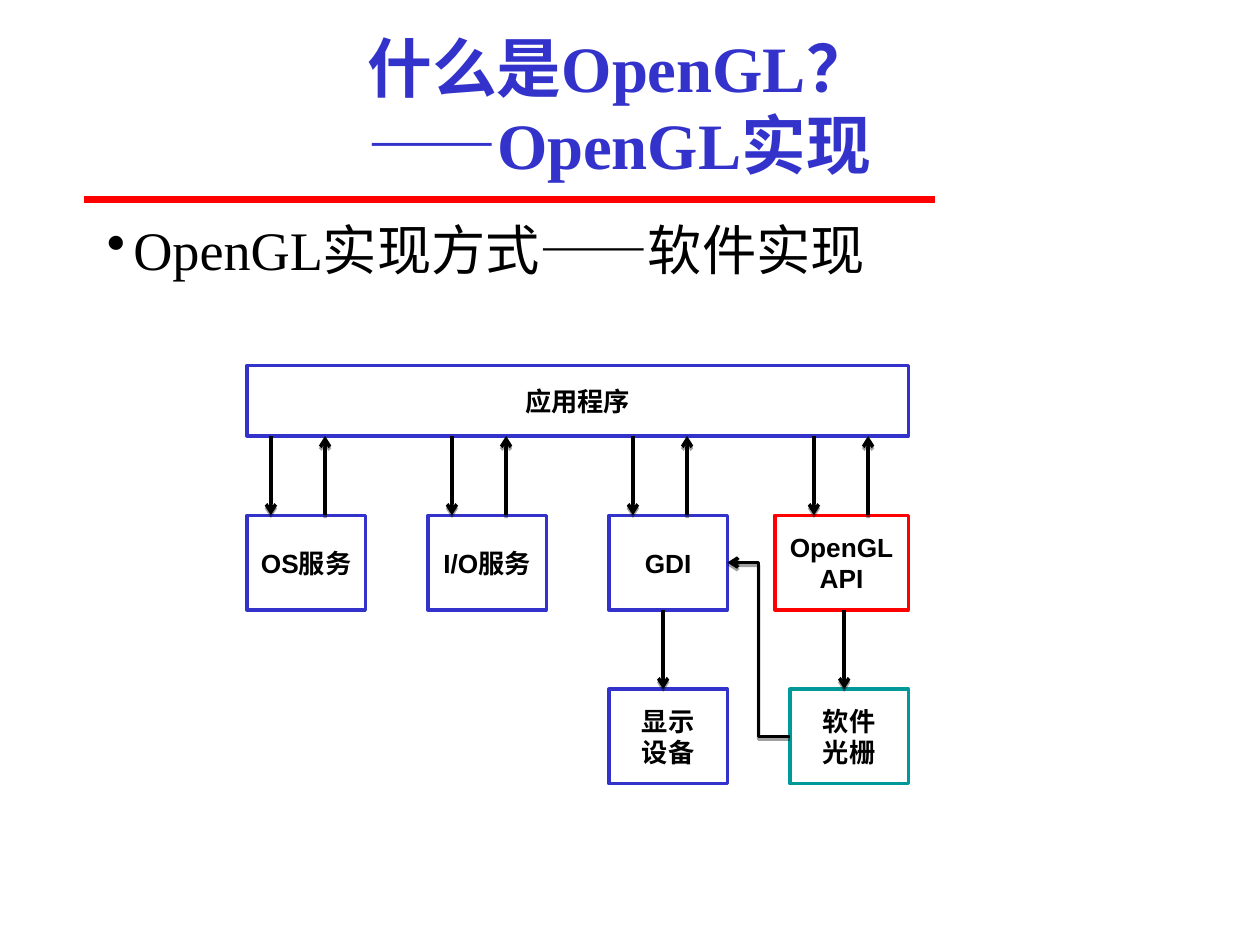
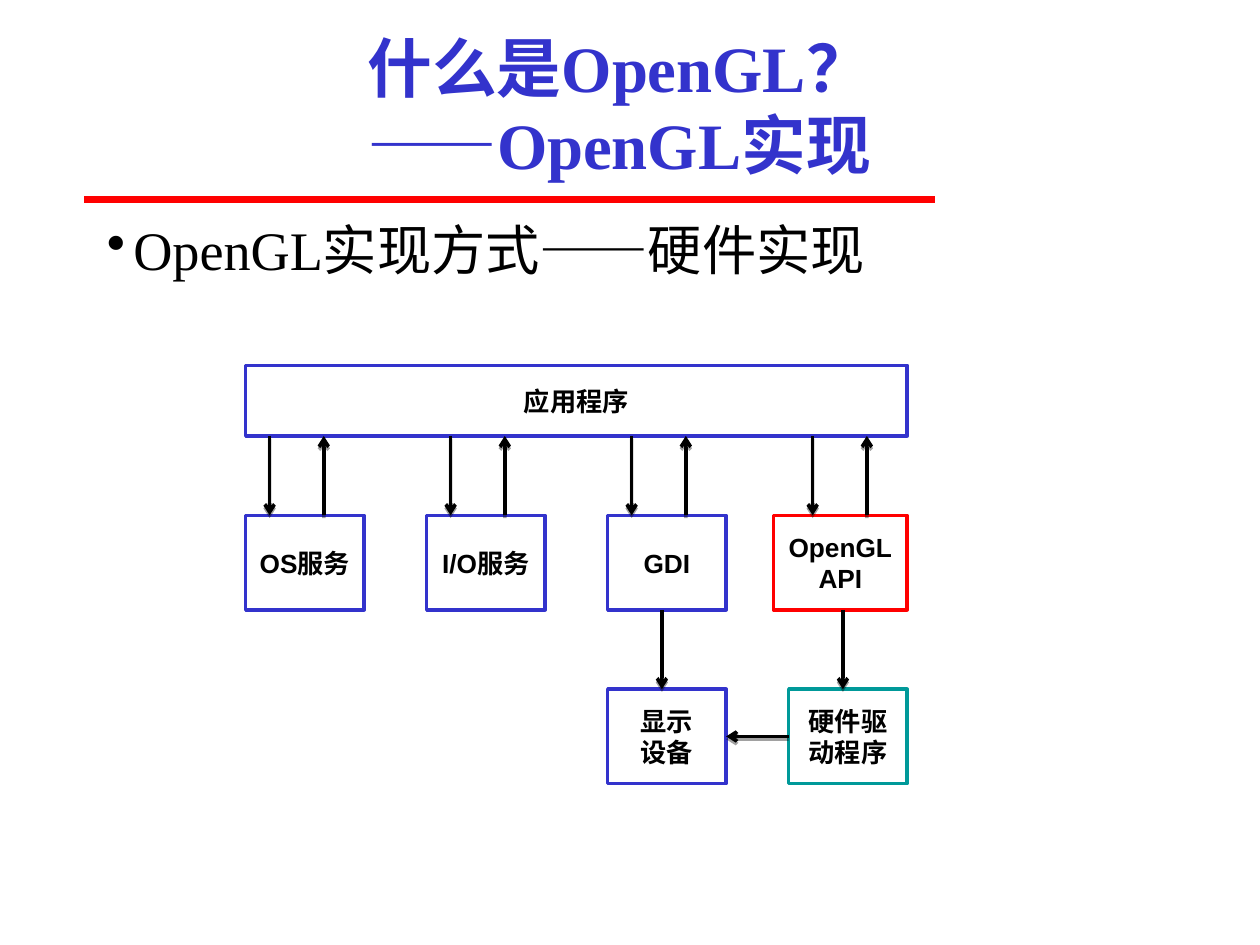
from lxml import etree
from pptx import Presentation
from pptx.dml.color import RGBColor
from pptx.enum.shapes import MSO_CONNECTOR, MSO_SHAPE
from pptx.enum.text import MSO_ANCHOR, PP_ALIGN
from pptx.oxml.ns import qn
from pptx.util import Inches, Pt

STRAIGHT, ELBOW = MSO_CONNECTOR.STRAIGHT, MSO_CONNECTOR.ELBOW
RECTANGLE = MSO_SHAPE.RECTANGLE
MIDDLE = MSO_ANCHOR.MIDDLE
CENTER, LEFT = PP_ALIGN.CENTER, PP_ALIGN.LEFT

BLUE = RGBColor(0x33, 0x33, 0xCC)
RED = RGBColor(0xFF, 0x00, 0x00)
TEAL = RGBColor(0x00, 0x99, 0x99)
BLACK = RGBColor(0x00, 0x00, 0x00)
WHITE = RGBColor(0xFF, 0xFF, 0xFF)

SERIF, SANS, CJK = "Times New Roman", "Arial", "Noto Sans CJK SC"

LEFT_SIDE, RIGHT_SIDE = 1, 3
APP_TOP, APP_WIDTH, APP_HEIGHT = 2.9, 5.25, 0.56
BOX_WIDTH, BOX_HEIGHT, API_WIDTH = 0.94, 0.75, 1.06
SERVICE_TOP, DEVICE_TOP = 4.09, 5.47
COLUMN_STEP = (APP_WIDTH - BOX_WIDTH) / 3
CALL_OFFSET, RETURN_OFFSET, OUTPUT_OFFSET = 0.19, 0.62, 0.43


def style_font(font, size, name, color, bold):
    font.size = Pt(size)
    font.name = name
    font.color.rgb = color
    font.bold = bold


def add_line(slide, kind, start, end, color, width):
    line = slide.shapes.add_connector(kind, *(Inches(v) for v in (*start, *end)))
    line.line.color.rgb = color
    line.line.width = Pt(width)
    effects = etree.SubElement(line._element.spPr, qn("a:effectLst"))
    return line, effects


def add_arrow(slide, start, end, kind=STRAIGHT):
    arrow, effects = add_line(slide, kind, start, end, BLACK, 2)
    etree.SubElement(arrow.line._get_or_add_ln(), qn("a:tailEnd"), type="arrow")
    shadow = etree.SubElement(effects, qn("a:outerShdw"), blurRad="0",
                              dist=str(Pt(1.6)), dir="5400000", rotWithShape="0")
    tint = etree.SubElement(shadow, qn("a:srgbClr"), val=str(BLACK))
    etree.SubElement(tint, qn("a:alpha"), val="37000")
    return arrow


def add_text_frame(slide, left, top, width, height):
    frame = slide.shapes.add_textbox(*map(Inches, (left, top, width, height))).text_frame
    frame.word_wrap = True
    return frame


def add_heading(slide):
    frame = add_text_frame(slide, 1.5, 0.25, 6.83, 1.17)
    frame.vertical_anchor = MIDDLE
    title = frame.paragraphs[0]
    title.text = "什么是OpenGL？\v——OpenGL实现"
    title.alignment = CENTER
    style_font(title.font, 37, SERIF, BLUE, True)
    add_line(slide, STRAIGHT, (0.67, 1.58), (7.42, 1.58), RED, 4)


def add_topic(slide, method):
    topic = add_text_frame(slide, 0.75, 1.67, 8.5, 5.17).paragraphs[0]
    properties = topic._p.get_or_add_pPr()
    properties.set("marL", str(Inches(0.21)))
    properties.set("indent", str(Inches(-0.21)))
    etree.SubElement(properties, qn("a:buChar"), char="•")
    style_font(topic.font, 31, SERIF, BLACK, False)
    for text, face in (("OpenGL实现方式", SERIF), ("——", CJK), (method, SERIF)):
        run = topic.add_run()
        run.text = text
        run.font.name = face


def add_box(slide, text, left, top, width=BOX_WIDTH, height=BOX_HEIGHT,
            border=BLUE, alignment=LEFT):
    box = slide.shapes.add_shape(RECTANGLE, *map(Inches, (left, top, width, height)))
    box.shadow.inherit = False
    box.fill.solid()
    box.fill.fore_color.rgb = WHITE
    box.line.color.rgb = border
    box.line.width = Pt(2)
    frame = box.text_frame
    frame.text = text
    frame.word_wrap = True
    frame.vertical_anchor = MIDDLE
    frame._txBody.bodyPr.set("anchorCtr", "1")
    for paragraph in frame.paragraphs:
        paragraph.alignment = alignment
        style_font(paragraph.font, 15, SANS, BLACK, True)
    return box


def add_architecture(slide, left, backend_text):
    columns = [left + COLUMN_STEP * i for i in range(4)]
    os_left, io_left, gdi_left, backend_left = columns
    app_bottom = APP_TOP + APP_HEIGHT
    service_bottom = SERVICE_TOP + BOX_HEIGHT

    add_box(slide, "应用程序", left, APP_TOP, APP_WIDTH, APP_HEIGHT)
    add_box(slide, "OS服务", os_left, SERVICE_TOP)
    add_box(slide, "I/O服务", io_left, SERVICE_TOP)
    gdi = add_box(slide, "GDI", gdi_left, SERVICE_TOP)
    add_box(slide, "OpenGL\nAPI", left + APP_WIDTH - API_WIDTH, SERVICE_TOP,
            API_WIDTH, border=RED, alignment=CENTER)
    display = add_box(slide, "显示\n设备", gdi_left, DEVICE_TOP)
    backend = add_box(slide, backend_text, backend_left, DEVICE_TOP, border=TEAL)

    for column in columns:
        call, reply = column + CALL_OFFSET, column + RETURN_OFFSET
        add_arrow(slide, (call, app_bottom), (call, SERVICE_TOP))
        add_arrow(slide, (reply, SERVICE_TOP), (reply, app_bottom))
    for column in (gdi_left, backend_left):
        output = column + OUTPUT_OFFSET
        add_arrow(slide, (output, service_bottom), (output, DEVICE_TOP))
    return gdi, display, backend


def link_backend(slide, backend, target, kind):
    arrow = add_arrow(slide, (0, 0), (1, 1), kind)
    arrow.begin_connect(backend, LEFT_SIDE)
    arrow.end_connect(target, RIGHT_SIDE)


def add_method_slide(deck, method):
    slide = deck.slides.add_slide(deck.slide_layouts[6])
    add_heading(slide)
    add_topic(slide, method)
    return slide


def main():
    deck = Presentation()
    deck.slide_width, deck.slide_height = Inches(10), Inches(7.5)

    software = add_method_slide(deck, "软件实现")
    gdi, _, rasterizer = add_architecture(software, 1.96, "软件\n光栅")
    link_backend(software, rasterizer, gdi, ELBOW)

    hardware = add_method_slide(deck, "硬件实现")
    _, display, driver = add_architecture(hardware, 1.95, "硬件驱动程序")
    link_backend(hardware, driver, display, STRAIGHT)

    deck.save("out.pptx")


if __name__ == "__main__":
    main()
